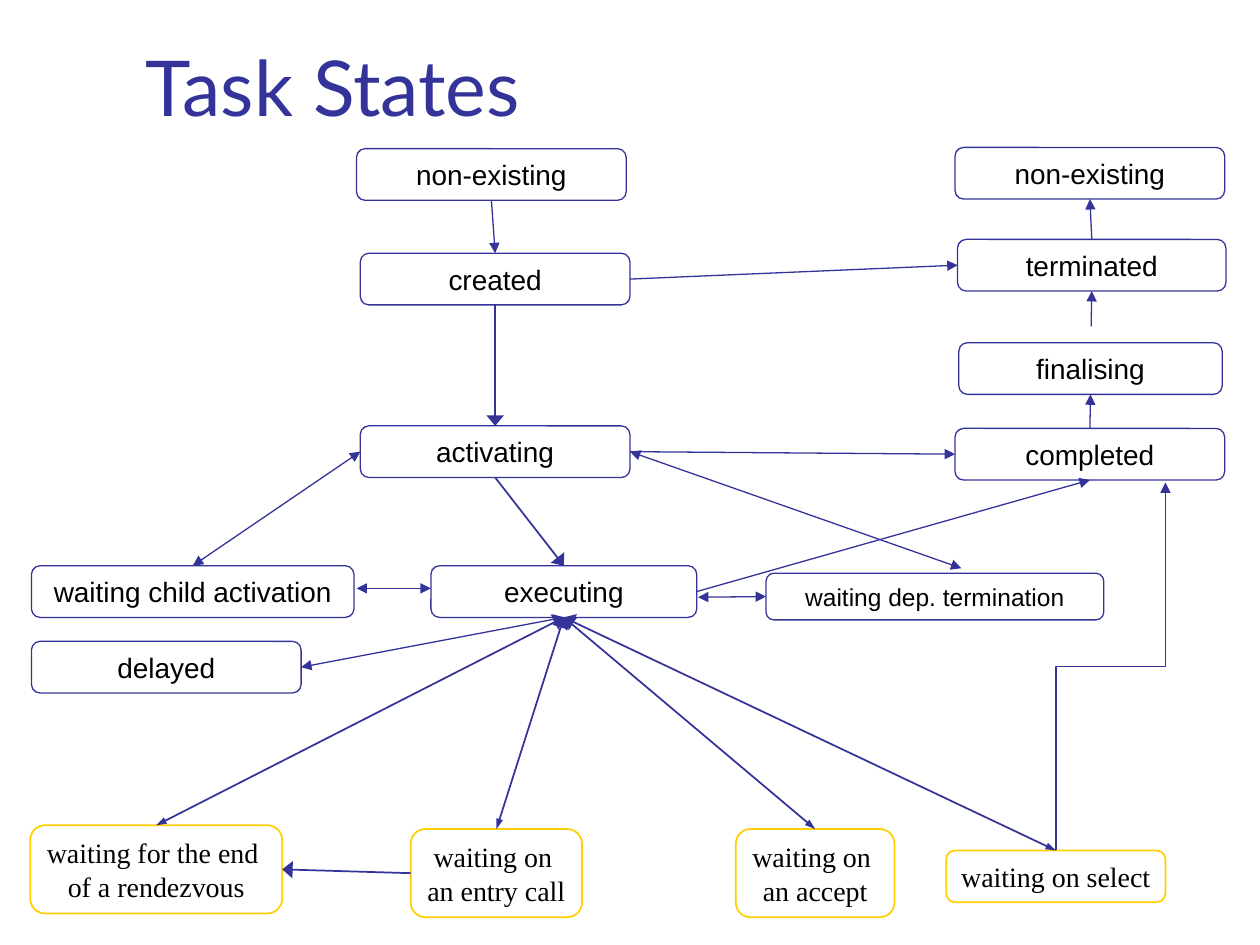
from dataclasses import dataclass

from lxml.etree import SubElement
from pptx import Presentation
from pptx.dml.color import RGBColor as RGB
from pptx.enum.shapes import MSO_CONNECTOR as Conn, MSO_SHAPE as Shape
from pptx.enum.text import MSO_ANCHOR as Anchor, PP_ALIGN as Align
from pptx.oxml.ns import qn
from pptx.util import Inches, Pt


@dataclass(frozen=True)
class Theme:
    """Colours, fonts, type sizes and line widths of the state diagram."""
    ink: RGB = RGB(0x33, 0x33, 0x99)
    gold: RGB = RGB(0xFF, 0xCF, 0x01)
    black: RGB = RGB(0, 0, 0)
    title_font: str = "Lato"
    state_font: str = "Arial"
    wait_font: str = "Times New Roman"
    title: int = 44
    body: int = 16
    small: int = 14
    thin: float = 0.75
    thick: float = 1


T = Theme()
COLS, ROWS = 100, 75
TOP, LEFT, BOTTOM, RIGHT = range(4)
STATE_H, PAIR_H = 4.1, 7

STATES = {
    "start": ("non-existing", 28.3, 11.8, 21.4),
    "created": ("created", 28.6, 20.1, 21.4),
    "activating": ("activating", 28.6, 33.8, 21.4),
    "executing": ("executing", 34.2, 44.9, 21.1),
    "end": ("non-existing", 75.8, 11.7, 21.4),
    "terminated": ("terminated", 76, 19, 21.3),
    "finalising": ("finalising", 76.1, 27.2, 20.9),
    "completed": ("completed", 75.8, 34, 21.4),
    "child": ("waiting child activation", 2.5, 44.9, 25.6),
    "delayed": ("delayed", 2.5, 50.9, 21.4),
}
WAITS = {
    "rendezvous": ("waiting for the end \nof a rendezvous", 2.4, 65.5, 20, PAIR_H),
    "entry": ("waiting on \nan entry call", 32.6, 65.8, 13.6, PAIR_H),
    "accept": ("waiting on \nan accept", 58.4, 65.8, 12.6, PAIR_H),
    "select": ("waiting on select", 75.1, 67.5, 17.4, STATE_H),
}
ONE_WAY = [
    (("start", BOTTOM), ("created", TOP)),
    (("created", RIGHT), ("terminated", LEFT)),
    (("activating", RIGHT), ("completed", LEFT)),
    (("executing", RIGHT), ("completed", BOTTOM)),
    (("completed", TOP), ("finalising", BOTTOM)),
    ((86.6, 25.9), ("terminated", BOTTOM)),
    (("terminated", TOP), ("end", BOTTOM)),
]
TWO_WAY = [
    (("delayed", RIGHT), ("executing", BOTTOM)),
    (("child", TOP), ("activating", LEFT)),
    ((55.4, 47.4), ("dependent", LEFT)),
    (("activating", RIGHT), (76.3, 45.1)),
]
WIDE_HEAD = [
    (("created", BOTTOM), ("activating", TOP)),
    (("activating", BOTTOM), ("executing", TOP)),
    (("entry", LEFT), ("rendezvous", RIGHT)),
]


def cells(*counts):
    """Convert counts of grid cells to lengths."""
    return [Inches(n * 10 / COLS) for n in counts]


def write(tf, text, font, size, color, align):
    """Fill a text frame with one paragraph per line of text."""
    for i, line in enumerate(text.split("\n")):
        p = tf.paragraphs[0] if i == 0 else tf.add_paragraph()
        p.text = line
        p.alignment = align
        p.font.name, p.font.size, p.font.color.rgb = font, Pt(size), color


def add_title(slide, text):
    """Add the heading, resting on the bottom of its box."""
    tf = slide.shapes.add_textbox(*cells(10.6, 1.3, 85.2, 9.7)).text_frame
    tf.word_wrap = True
    tf.vertical_anchor = Anchor.BOTTOM
    write(tf, text, T.title_font, T.title, T.ink, Align.LEFT)


def add_box(slide, text, x, y, w, h=STATE_H, line=T.ink, width=T.thin,
            font=T.state_font, size=T.body, wrap=True):
    """Add one rounded, unfilled state box."""
    sp = slide.shapes.add_shape(Shape.ROUNDED_RECTANGLE, *cells(x, y, w, h))
    sp.shadow.inherit = False
    sp.fill.background()
    sp.line.color.rgb, sp.line.width = line, Pt(width)
    tf = sp.text_frame
    tf.word_wrap = wrap
    tf.vertical_anchor = Anchor.MIDDLE
    write(tf, text, font, size, T.black, Align.CENTER)
    return sp


def style_arrow(cx, width, head, tail):
    """Colour a connector and give its ends triangles of the named widths."""
    cx.line.color.rgb, cx.line.width = T.ink, Pt(width)
    ln = cx.line._get_or_add_ln()
    for tag, size in (("a:headEnd", head), ("a:tailEnd", tail)):
        if size:
            SubElement(ln, qn(tag), type="triangle", w=size, len="med")
    SubElement(cx._element.spPr, qn("a:effectLst"))


def add_link(slide, boxes, begin, end, width=T.thin, head=None, tail="med"):
    """Add a straight arrow between box sides or free grid points."""
    ends = [(0, 0) if e[0] in boxes else e for e in (begin, end)]
    cx = slide.shapes.add_connector(Conn.STRAIGHT, *cells(*ends[0], *ends[1]))
    for e, connect in ((begin, cx.begin_connect), (end, cx.end_connect)):
        if e[0] in boxes:
            connect(boxes[e[0]], e[1])
    style_arrow(cx, width, head, tail)


def add_upward_elbow(slide, x1, y1, x2, y2):
    """Add an elbow arrow that leaves and arrives vertically."""
    mid_x, mid_y = (x1 + x2) / 2, (y1 + y2) / 2
    half_w, half_h = (y1 - y2) / 2, (x2 - x1) / 2
    cx = slide.shapes.add_connector(Conn.ELBOW, *cells(
        mid_x + half_w, mid_y + half_h, mid_x - half_w, mid_y - half_h))
    cx._element.spPr.find(qn("a:xfrm")).set("rot", str(90 * 60000))
    style_arrow(cx, T.thick, None, "med")


def main():
    """Build the task state diagram."""
    prs = Presentation()
    prs.slide_width, prs.slide_height = cells(COLS, ROWS)
    slide = prs.slides.add_slide(prs.slide_layouts[6])
    add_title(slide, "Task States")

    boxes = {key: add_box(slide, *state) for key, state in STATES.items()}
    boxes["dependent"] = add_box(slide, "waiting dep. termination",
                                 60.8, 45.5, 26.8, 3.7, size=T.small)
    for key, wait in WAITS.items():
        boxes[key] = add_box(slide, *wait, line=T.gold, width=T.thick,
                             font=T.wait_font, wrap=False)

    for begin, end in ONE_WAY:
        add_link(slide, boxes, begin, end)
    for begin, end in TWO_WAY:
        add_link(slide, boxes, begin, end, head="med")
    for begin, end in WIDE_HEAD:
        add_link(slide, boxes, begin, end, T.thick, tail="lg")
    for key in WAITS:
        add_link(slide, boxes, (key, TOP), ("executing", BOTTOM),
                 T.thick, head="sm", tail="lg")
    add_link(slide, boxes, (28.3, 46.7), (34.2, 46.7), T.thick, head="med")
    add_upward_elbow(slide, 83.8, 67.5, 92.5, 38.3)
    prs.save("out.pptx")


if __name__ == "__main__":
    main()
